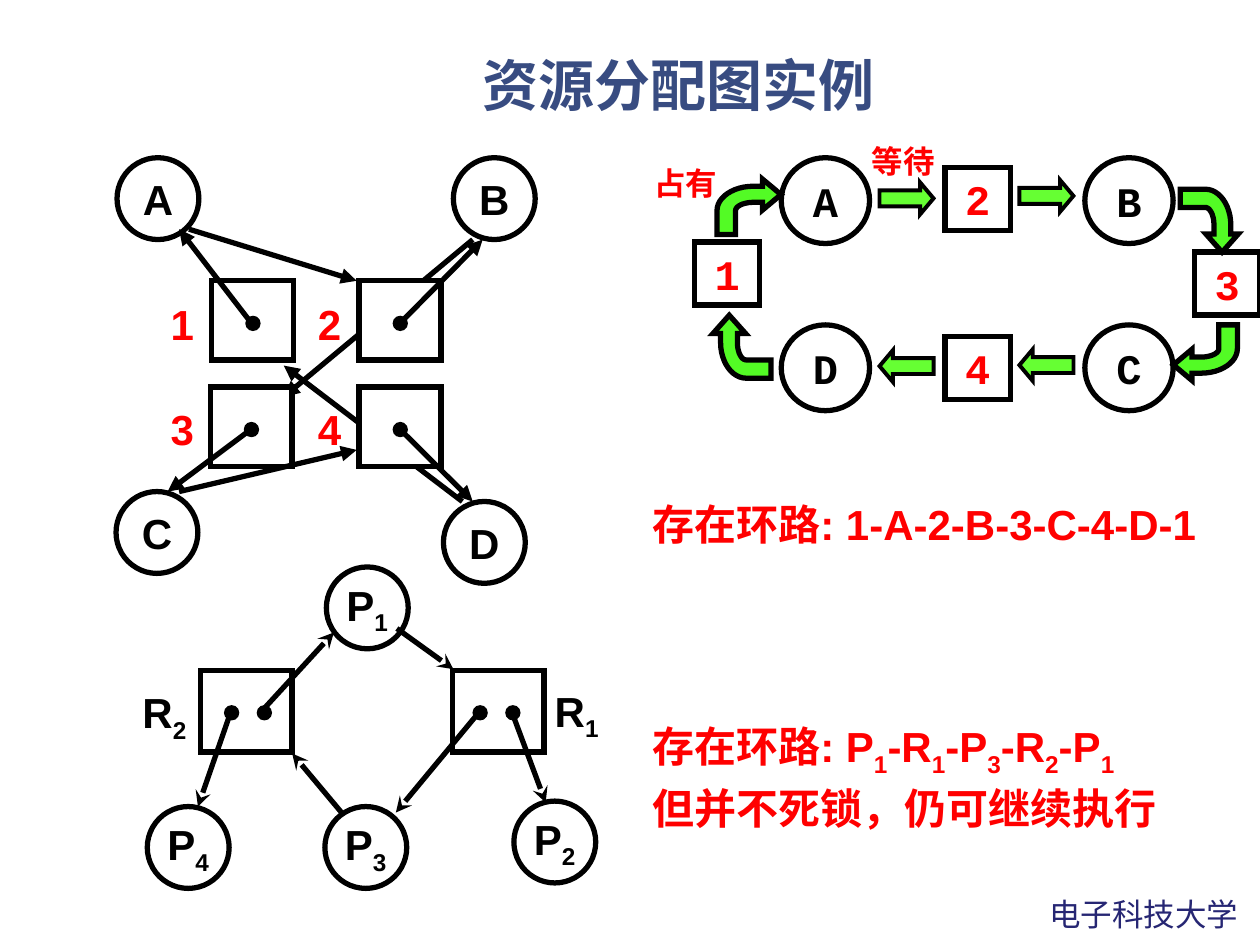
from lxml.etree import SubElement
from pptx import Presentation
from pptx.dml.color import RGBColor
from pptx.enum.shapes import MSO_CONNECTOR, MSO_SHAPE
from pptx.enum.text import MSO_ANCHOR, PP_ALIGN
from pptx.oxml.ns import qn
from pptx.util import Cm, Pt

BLACK = RGBColor(0x00, 0x00, 0x00)
WHITE = RGBColor(0xFF, 0xFF, 0xFF)
RED = RGBColor(0xFF, 0x00, 0x00)
GREEN = RGBColor(0x66, 0xFF, 0x33)
BEND_GREEN = RGBColor(0x53, 0xFB, 0x25)
TITLE_BLUE = RGBColor(0x38, 0x4C, 0x81)
NAVY = RGBColor(0x26, 0x26, 0x73)
OVAL, RECT = MSO_SHAPE.OVAL, MSO_SHAPE.RECTANGLE


def write(tf, text, color, size=24, font="Arial", bold=True, align=PP_ALIGN.CENTER):
    """Fill a frame with one paragraph; the character after "_" is a subscript."""
    tf.word_wrap = False
    p = tf.paragraphs[0]
    p.alignment = align
    first, *rest = text.split("_")
    pieces = [(first, False)]
    for part in rest:
        pieces += [(part[0], True), (part[1:], False)]
    for piece, lowered in pieces:
        if piece:
            r = p.add_run()
            r.text = piece
            r.font.size, r.font.name, r.font.bold = Pt(size), font, bold
            r.font.color.rgb = color
            if lowered:
                r.font._element.set("baseline", "-25000")
    return p


def outline(s, fill=WHITE, width=3):
    """Give a shape a flat fill and a black, sharp-cornered border."""
    s.shadow.inherit = False
    s.fill.solid()
    s.fill.fore_color.rgb = fill
    s.line.color.rgb = BLACK
    s.line.width = Pt(width)
    SubElement(s._element.spPr.find(qn("a:ln")), qn("a:miter"), lim="800000")
    return s


prs = Presentation()
prs.slide_width, prs.slide_height = Cm(25.4), Cm(19.05)
slide = prs.slides.add_slide(prs.slide_layouts[5])
shapes = slide.shapes

title = shapes.title
title.left, title.top, title.width, title.height = Cm(2.92), Cm(1.02), Cm(21.51), Cm(1.52)
title.text_frame.vertical_anchor = MSO_ANCHOR.MIDDLE
write(title.text_frame, "资源分配图实例", TITLE_BLUE, 32).line_spacing = 0.9

# Nodes: kind, text, colour, font, width, height, positions
ARIAL, COURIER = "Arial", "Courier New"
nodes = [
    (OVAL, BLACK, ARIAL, 1.65, 1.65, [
        ("A", 2.36, 3.18), ("B", 9.14, 3.18), ("C", 2.34, 9.91), ("D", 8.94, 10.11),
        ("P_1", 6.58, 11.43), ("P_2", 10.36, 16.15), ("P_3", 6.55, 16.26), ("P_4", 2.97, 16.26)]),
    (OVAL, BLACK, COURIER, 1.78, 1.73, [
        ("A", 15.75, 3.18), ("B", 21.87, 3.18), ("C", 21.87, 6.55), ("D", 15.75, 6.55)]),
    (RECT, RED, COURIER, 1.32, 1.27, [
        ("1", 14, 4.88), ("2", 19.05, 3.38), ("3", 24.08, 5.08), ("4", 19.05, 6.78)]),
]
for kind, color, font, w, h, places in nodes:
    for text, x, y in places:
        s = outline(shapes.add_shape(kind, Cm(x), Cm(y), Cm(w), Cm(h)))
        s.text_frame.vertical_anchor = MSO_ANCHOR.MIDDLE
        write(s.text_frame, text, color, font=font)

# Resource boxes, each with one dot per unit
resources = [
    (4.27, 5.66, 1.65, 1.6, [0.73]), (7.24, 5.66, 1.65, 1.6, [0.73]),
    (4.24, 7.8, 1.65, 1.6, [0.73]), (7.24, 7.8, 1.65, 1.6, [0.73]),
    (4.04, 13.51, 1.85, 1.65, [0.53, 1.19]), (9.12, 13.51, 1.85, 1.65, [0.46, 1.12]),
]
for x, y, w, h, dots in resources:
    outline(shapes.add_shape(RECT, Cm(x), Cm(y), Cm(w), Cm(h)))
    for dx in dots:
        outline(shapes.add_shape(OVAL, Cm(x + dx), Cm(y + 0.76), Cm(0.2), Cm(0.2)), BLACK)

labels = [
    ("1", 3.18, 5.89, 0.99, RED, 24, ARIAL), ("2", 6.15, 5.89, 0.99, RED, 24, ARIAL),
    ("3", 3.18, 8, 0.99, RED, 24, ARIAL), ("4", 6.15, 8, 0.99, RED, 24, ARIAL),
    ("R_2", 2.59, 13.72, 1.45, BLACK, 24, ARIAL), ("R_1", 10.9, 13.69, 1.45, BLACK, 24, ARIAL),
    ("占有", 12.93, 3.18, 1.78, RED, 18, COURIER), ("等待", 17.32, 2.74, 1.78, RED, 18, COURIER),
]
for text, x, y, w, color, size, font in labels:
    s = shapes.add_textbox(Cm(x), Cm(y), Cm(w), Cm(1.27 if size == 24 else 1.02))
    write(s.text_frame, text, color, size, font)

# Edges of the two graphs on the left
edges = {
    "triangle": [
        (9.53, 4.83, 5.72, 8), (9.32, 10.11, 5.72, 7.37),
        (5.08, 6.53, 3.61, 4.62), (8.05, 6.53, 9.73, 4.83),
        (5.08, 8.64, 3.38, 9.91), (8.05, 8.64, 9.53, 10.11),
        (3.61, 9.91, 7.19, 9.07), (3.81, 4.62, 7.19, 5.66)],
    "stealth": [
        (8, 12.67, 9.14, 13.49), (5.31, 14.3, 6.73, 12.75), (4.67, 14.3, 3.99, 16.26),
        (6.91, 16.41, 5.89, 15.19), (9.68, 14.33, 7.98, 16.38), (10.31, 14.33, 11, 16.18)],
}
for head, ends in edges.items():
    for i, (x1, y1, x2, y2) in enumerate(ends):
        c = shapes.add_connector(MSO_CONNECTOR.STRAIGHT, Cm(x1), Cm(y1), Cm(x2), Cm(y2))
        c.line.color.rgb = BLACK
        c.line.width = Pt(3)
        spPr = c._element.spPr
        SubElement(spPr.find(qn("a:ln")), qn("a:tailEnd"), type=head)
        SubElement(spPr, qn("a:effectLst"))
        if head == "triangle" and i < 2:  # B to 3 and D to 1 run behind the boxes
            shapes._spTree.insert(2, c._element)

# Ring on the right: straight arrows
for x, y, angle in [(17.73, 3.68, 0), (20.55, 3.63, 0), (17.73, 7.06, 180), (20.55, 7.04, 180)]:
    s = outline(shapes.add_shape(MSO_SHAPE.RIGHT_ARROW, Cm(x), Cm(y), Cm(1.09), Cm(0.64)), GREEN, 2.25)
    s.adjustments[0], s.adjustments[1] = 0.5, 0.42
    s.rotation = angle

# Ring on the right: bent arrows, from one unit outline turned by quarters
curves = []
for a, b, c, d in [((0.57, 0.13), (0.25, 0.13), (0, 0.33), (0, 0.57)),
                   ((0.29, 0.57), (0.29, 0.49), (0.41, 0.42), (0.57, 0.42))]:
    steps = [i / 12 for i in range(13)]
    curves.append([tuple((1 - t)**3 * a[k] + 3 * t * (1 - t)**2 * b[k]
                         + 3 * t**2 * (1 - t) * c[k] + t**3 * d[k] for k in (0, 1))
                   for t in steps])
bend = [(1, 0.28), (0.71, 0), (0.71, 0.13), *curves[0], (0, 1), (0.29, 1),
        *curves[1], (0.71, 0.42), (0.71, 0.56)]
for turns, cx, cy, w, h in [(0, 15.1, 4.17, 1.29, 1.12), (1, 24.38, 4.45, 1.27, 1.17),
                            (2, 24.3, 7.11, 1.29, 1.12), (3, 14.96, 6.99, 1.27, 1.17)]:
    points = []
    for u, v in bend:
        dx, dy = (u - 0.5) * w, (v - 0.5) * h
        for _ in range(turns):
            dx, dy = -dy, dx
        points.append((Cm(cx + dx), Cm(cy + dy)))
    builder = shapes.build_freeform(*points[0])
    builder.add_line_segments(points[1:], close=True)
    outline(builder.convert_to_shape(), BEND_GREEN)

# Conclusions
for text, y in [("存在环路: 1-A-2-B-3-C-4-D-1", 9.73),
                ("存在环路: P_1-R_1-P_3-R_2-P_1", 14.17),
                ("但并不死锁，仍可继续执行", 15.44)]:
    s = shapes.add_textbox(Cm(11.63), Cm(y), Cm(13.77), Cm(1.47))
    p = write(s.text_frame, text, RED, align=PP_ALIGN.LEFT)
    s.text_frame.word_wrap = True
    p.line_spacing = 1.2
    p._p.get_or_add_pPr().set("marL", str(Cm(1.27)))

s = shapes.add_textbox(Cm(20.9), Cm(17.91), Cm(4.39), Cm(1.02))
write(s.text_frame, "电子科技大学", NAVY, 18, bold=False, align=PP_ALIGN.LEFT)

prs.save("out.pptx")
